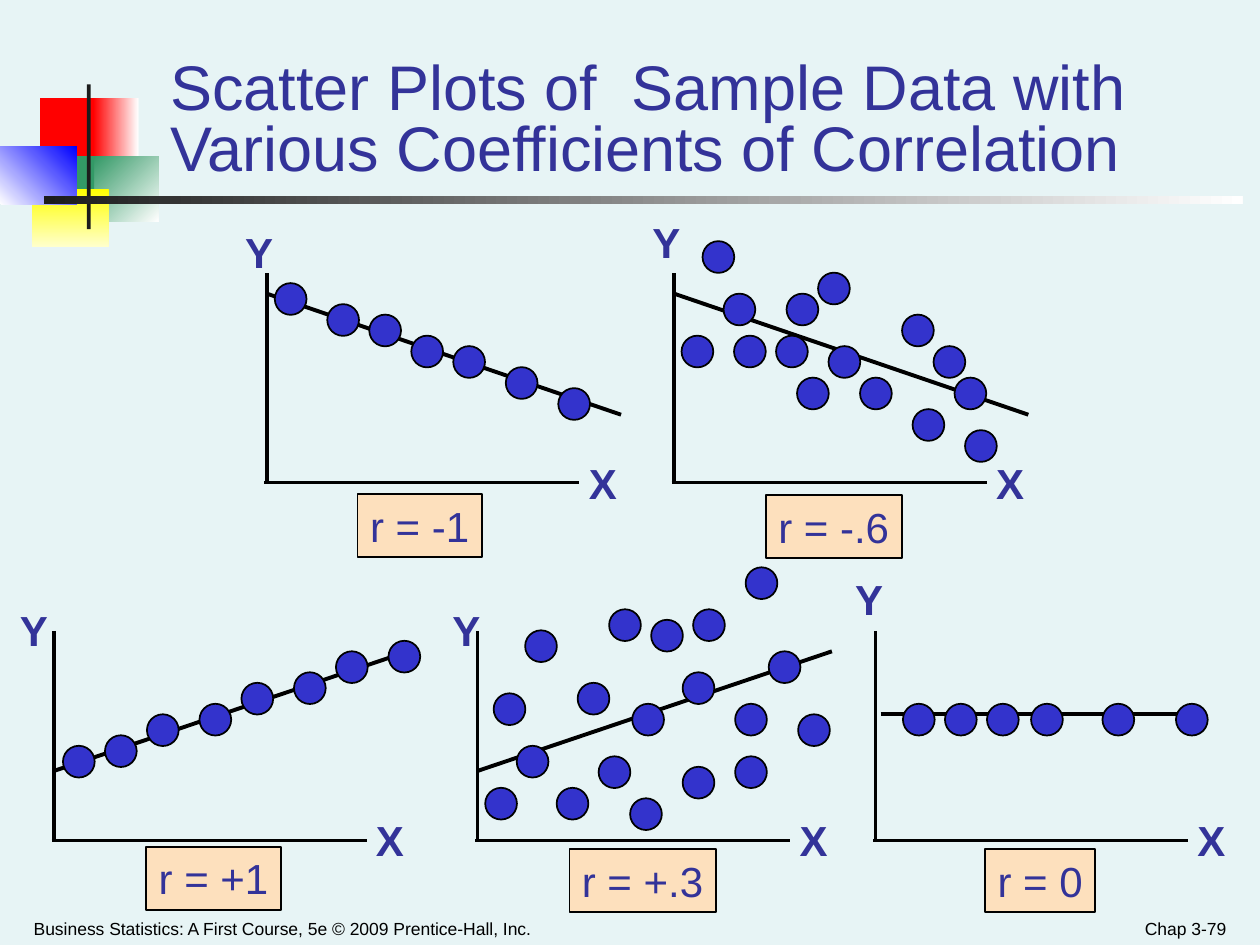
"""Build a slide of five scatter plots showing different correlation coefficients."""
import pptx
import pptx.dml.color
import pptx.enum.shapes
import pptx.enum.text
import pptx.oxml.ns
import pptx.util
from lxml import etree

Cm = pptx.util.Cm
Pt = pptx.util.Pt
SHAPES = pptx.enum.shapes.MSO_SHAPE
ANCHOR = pptx.enum.text.MSO_ANCHOR
ALIGN = pptx.enum.text.PP_ALIGN

STEP = 2.54 / 12
DOT_SIZE = 0.64

FALLING = (0, 3.81, 7.14, 1.37)
RISING = (0, 1.4, 7.14, 3.81)
FLAT = (0.1, 2.54, 6.45, 2.54)

PLOTS = [
    dict(origin=(5.38, 9.73), y_label=(-0.69, 5.28), trend=FALLING, dot_left=5.54,
         dots=[(0, 19), (5, 17), (9, 16), (13, 14), (17, 13), (22, 11), (27, 9)],
         coefficient="r = -1", box=(7.21, 9.96, 2.51)),
    dict(origin=(13.59, 9.73), y_label=(-0.69, 5.49), trend=FALLING, dot_left=13.74,
         dots=[(0, 14), (2, 23), (4, 18), (5, 14), (9, 14), (10, 18), (11, 10), (13, 20),
               (14, 13), (17, 10), (21, 16), (22, 7), (24, 13), (26, 10), (27, 5)],
         coefficient="r = -.6", box=(15.44, 9.98, 2.74)),
    dict(origin=(9.63, 16.94), y_label=(-0.76, 4.88), trend=RISING, dot_left=9.74,
         dots=[(0.2, 5), (1, 14), (3.2, 9), (4, 20), (7, 5), (9, 15), (11, 8), (12, 22),
               (14, 4), (14.2, 13), (16, 21), (19, 7), (19, 16), (20, 22), (24, 8),
               (24, 13), (25, 26), (27.2, 18), (30, 12)],
         coefficient="r = +.3", box=(11.48, 17.12, 2.95)),
    dict(origin=(1.09, 16.94), y_label=(-0.94, 4.88), trend=RISING, dot_left=1.27,
         dots=[(0, 9), (4, 10), (8, 12), (13, 13), (17, 15), (22, 16), (26, 18), (31, 19)],
         coefficient="r = +1", box=(2.95, 17.07, 2.72)),
    dict(origin=(17.65, 16.94), y_label=(-0.66, 5.51), trend=FLAT, dot_left=17.78,
         dots=[(column, 13) for column in (2, 6, 10, 14.2, 21, 28)],
         coefficient="r = 0", box=(19.86, 17.12, 2.21)),
]

ORNAMENT = [
    ((0.81, 1.98, 1.22, 1.32), ["FF0000"], 0),
    ((1.88, 1.98, 0.91, 1.32), ["FF0000", "FFFFFF"], 0),
    ((1.9, 3.15, 1.3, 1.32), ["339966", "FFFFFF"], 45),
    ((1.09, 3.15, 0.81, 1.32), ["339966"], 0),
    ((0.64, 3.81, 1.55, 1.17), ["FFFF00", "FFFFCC"], 90),
    ((0, 2.95, 1.55, 1.17), ["FFFFFF", "0000FF"], 315),
    ((1.75, 1.7, 0.08, 2.92), ["1C1C1C"], 0),
    ((0.89, 3.96, 24.16, 0.15), ["1C1C1C", "FFFFFF"], 0),
]


def rgb(value):
    return pptx.dml.color.RGBColor.from_string(value)


def write(shape, text, size=24, color="333399", bold=False, align=ALIGN.LEFT,
          anchor=ANCHOR.TOP, wrap=False, spacing=None):
    frame = shape.text_frame
    frame.auto_size = pptx.enum.text.MSO_AUTO_SIZE.NONE
    frame.word_wrap = wrap
    frame.vertical_anchor = anchor
    paragraph = frame.paragraphs[0]
    paragraph.alignment = align
    paragraph.line_spacing = spacing
    run = paragraph.add_run()
    run.text = text
    run.font.name = "Arial"
    run.font.size = Pt(size)
    run.font.bold = bold
    run.font.color.rgb = rgb(color)


class ScatterSlide:
    ink = "000000"
    dot_fill = "3333CC"
    box_fill = "FDE0BD"

    def __init__(self, deck, background):
        self.slide = deck.slides.add_slide(deck.slide_layouts[5])
        self.slide.background.fill.solid()
        self.slide.background.fill.fore_color.rgb = rgb(background)

    def title(self, text, left, top, width, height):
        heading = self.slide.shapes.title
        heading.left, heading.top = Cm(left), Cm(top)
        heading.width, heading.height = Cm(width), Cm(height)
        write(heading, text, size=36, anchor=ANCHOR.BOTTOM, wrap=True, spacing=0.8)

    def shape(self, kind, left, top, width, height, colors, angle=0, outline=None):
        shape = self.slide.shapes.add_shape(kind, Cm(left), Cm(top), Cm(width), Cm(height))
        shape.shadow.inherit = False
        if len(colors) == 1:
            shape.fill.solid()
            shape.fill.fore_color.rgb = rgb(colors[0])
        else:
            shape.fill.gradient()
            shape.fill.gradient_angle = -angle % 360
            for stop, color in zip(shape.fill.gradient_stops, colors):
                stop.color.rgb = rgb(color)
        if outline:
            shape.line.color.rgb = rgb(outline)
            shape.line.width = Pt(1)
        else:
            shape.line.fill.background()
        return shape

    def line(self, x1, y1, x2, y2, weight=2):
        line = self.slide.shapes.add_connector(
            pptx.enum.shapes.MSO_CONNECTOR.STRAIGHT, Cm(x1), Cm(y1), Cm(x2), Cm(y2))
        line.line.color.rgb = rgb(self.ink)
        line.line.width = Pt(weight)
        etree.SubElement(line._element.spPr, pptx.oxml.ns.qn("a:effectLst"))

    def label(self, text, left, top, width, height, **style):
        box = self.slide.shapes.add_textbox(Cm(left), Cm(top), Cm(width), Cm(height))
        write(box, text, **style)

    def plot(self, origin, y_label, trend, dot_left, dots, coefficient, box):
        x, base = origin
        start_x, start_rise, end_x, end_rise = trend
        self.line(x, base - 4.22, x, base)
        self.line(x - 0.05, base, x + 6.3, base)
        self.line(x + start_x, base - start_rise, x + end_x, base - end_rise, weight=2.25)
        for column, row in dots:
            self.shape(SHAPES.OVAL, dot_left + column * STEP, base - row * STEP,
                       DOT_SIZE, DOT_SIZE, [self.dot_fill], outline=self.ink)
        self.label("Y", x + y_label[0], base - y_label[1], 1.07, 1.27, bold=True)
        self.label("X", x + 6.24, base - 0.64, 1.07, 1.27, bold=True)
        left, top, width = box
        caption = self.shape(SHAPES.RECTANGLE, left, top, width, 1.27,
                             [self.box_fill], outline=self.ink)
        write(caption, coefficient)


def main():
    deck = pptx.Presentation()
    deck.slide_width, deck.slide_height = Cm(25.4), Cm(19.05)
    page = ScatterSlide(deck, "E7F4F5")
    for bounds, colors, angle in ORNAMENT:
        page.shape(SHAPES.RECTANGLE, *bounds, colors, angle)
    page.title("Scatter Plots of  Sample Data with Various Coefficients of Correlation",
               3.18, 0.64, 21.64, 3.18)
    footer = dict(size=10, color="000000", anchor=ANCHOR.BOTTOM, wrap=True)
    page.label("Business Statistics: A First Course, 5e © 2009 Prentice-Hall, Inc.",
               0.43, 18.16, 12.9, 0.89, **footer)
    page.label("Chap 3-79", 19.05, 18.16, 5.92, 0.89, align=ALIGN.RIGHT, **footer)
    for plot in PLOTS:
        page.plot(**plot)
    deck.save("out.pptx")


if __name__ == "__main__":
    main()
